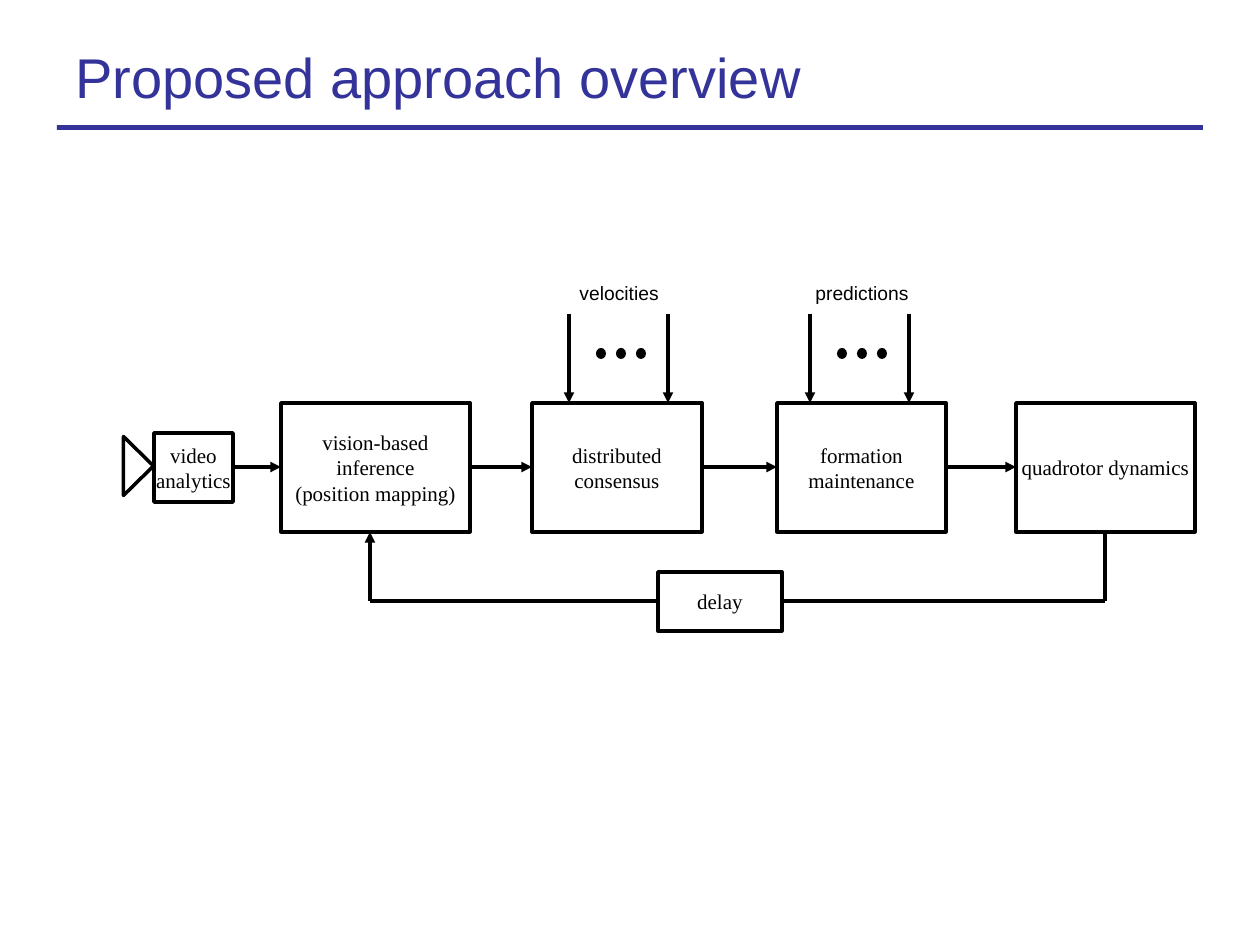
from lxml.etree import SubElement
from pptx import Presentation
from pptx.dml.color import RGBColor
from pptx.enum.shapes import MSO_CONNECTOR, MSO_SHAPE
from pptx.enum.text import MSO_ANCHOR, PP_ALIGN
from pptx.oxml.ns import qn
from pptx.util import Emu, Pt

BLACK = RGBColor(0x00, 0x00, 0x00)
INDIGO = RGBColor(0x33, 0x33, 0x99)
SANS, SERIF = "Arial", "Times New Roman"

TITLE = "Proposed approach overview"
STAGES = [
    (["video analytics"], (154, 433, 79, 69), 0),
    (["vision-based inference", "(position mapping)"], (281, 403, 189, 129), 5),
    (["distributed consensus"], (532, 403, 170, 129), 5),
    (["formation maintenance"], (777, 403, 169, 129), 5),
    (["quadrotor dynamics"], (1016, 403, 179, 129), 5),
]
DELAY = (["delay"], (658, 572, 124, 59), 5)
INPUTS = [("velocities", 569, 567, 106), ("predictions", 810, 803, 120)]
FLOW_Y, STAGE_TOP, STAGE_BOTTOM = 467, 403, 532
FEEDBACK_Y, FEEDBACK_LEFT, FEEDBACK_RIGHT = 601, 370, 1105
INPUT_TOP, INPUT_SPAN = 314, 99
DOT_TOP, DOT_OFFSET, DOT_PITCH = 348, 27, 20


def px(length):
    return Emu(round(length * 914400 / 126))


def add_block(slide, preset, box, fill=None):
    block = slide.shapes.add_shape(preset, *map(px, box))
    block.shadow.inherit = False
    if fill is None:
        block.fill.background()
        block.line.color.rgb = BLACK
        block.line.width = Pt(2)
    else:
        block.fill.solid()
        block.fill.fore_color.rgb = fill
        block.line.fill.background()
    return block


def write(frame, paragraphs, font, size, color, align):
    for index, words in enumerate(paragraphs):
        paragraph = frame.paragraphs[0] if index == 0 else frame.add_paragraph()
        paragraph.alignment = align
        run = paragraph.add_run()
        run.text = words
        run.font.name = font
        run.font.size = Pt(size)
        run.font.color.rgb = color


def add_stage(slide, paragraphs, box, inset):
    frame = add_block(slide, MSO_SHAPE.RECTANGLE, box).text_frame
    frame.word_wrap = True
    frame.vertical_anchor = MSO_ANCHOR.MIDDLE
    frame.margin_left = frame.margin_right = px(inset)
    frame.margin_top = frame.margin_bottom = px(inset)
    write(frame, paragraphs, SERIF, 12, BLACK, PP_ALIGN.CENTER)


def add_label(slide, words, box, size, color, wrap):
    frame = slide.shapes.add_textbox(*map(px, box)).text_frame
    frame.word_wrap = wrap
    frame.vertical_anchor = MSO_ANCHOR.MIDDLE if wrap else MSO_ANCHOR.TOP
    write(frame, [words], SANS, size, color, PP_ALIGN.LEFT)


def add_link(slide, start, end, arrow=True):
    link = slide.shapes.add_connector(MSO_CONNECTOR.STRAIGHT, *map(px, start + end))
    link.line.color.rgb = BLACK
    link.line.width = Pt(2)
    if arrow:
        SubElement(link.line._get_or_add_ln(), qn("a:tailEnd"), type="triangle")
    SubElement(link._element.spPr, qn("a:effectLst"))


def add_input(slide, words, left, label_left, label_width):
    add_label(slide, words, (label_left, 275, label_width, 37), 11, BLACK, False)
    for x in (left, left + INPUT_SPAN):
        add_link(slide, (x, INPUT_TOP), (x, STAGE_TOP))
    for step in range(3):
        x = left + DOT_OFFSET + step * DOT_PITCH
        add_block(slide, MSO_SHAPE.OVAL, (x, DOT_TOP, 10, 11), BLACK)


def add_feedback(slide):
    delay_left, _, delay_width, _ = DELAY[1]
    left_corner = (FEEDBACK_LEFT, FEEDBACK_Y)
    right_corner = (FEEDBACK_RIGHT, FEEDBACK_Y)
    add_link(slide, left_corner, (FEEDBACK_LEFT, STAGE_BOTTOM))
    add_link(slide, right_corner, (FEEDBACK_RIGHT, STAGE_BOTTOM), False)
    add_link(slide, left_corner, (delay_left, FEEDBACK_Y), False)
    add_link(slide, (delay_left + delay_width, FEEDBACK_Y), right_corner, False)
    add_stage(slide, *DELAY)


def main():
    """Build the block diagram of the proposed approach."""
    deck = Presentation()
    deck.slide_width, deck.slide_height = px(1260), px(945)
    slide = deck.slides.add_slide(deck.slide_layouts[6])

    add_block(slide, MSO_SHAPE.RECTANGLE, (57, 125, 1146, 5), INDIGO)
    add_label(slide, TITLE, (63, -2, 1134, 157), 32, INDIGO, True)
    add_feedback(slide)
    for stage in STAGES:
        add_stage(slide, *stage)
    for (_, source, _), (_, target, _) in zip(STAGES, STAGES[1:]):
        add_link(slide, (source[0] + source[2], FLOW_Y), (target[0], FLOW_Y))
    for entry in INPUTS:
        add_input(slide, *entry)
    camera = add_block(slide, MSO_SHAPE.ISOSCELES_TRIANGLE, (109, 451, 59, 30))
    camera.rotation = 90
    deck.save("out.pptx")


if __name__ == "__main__":
    main()
